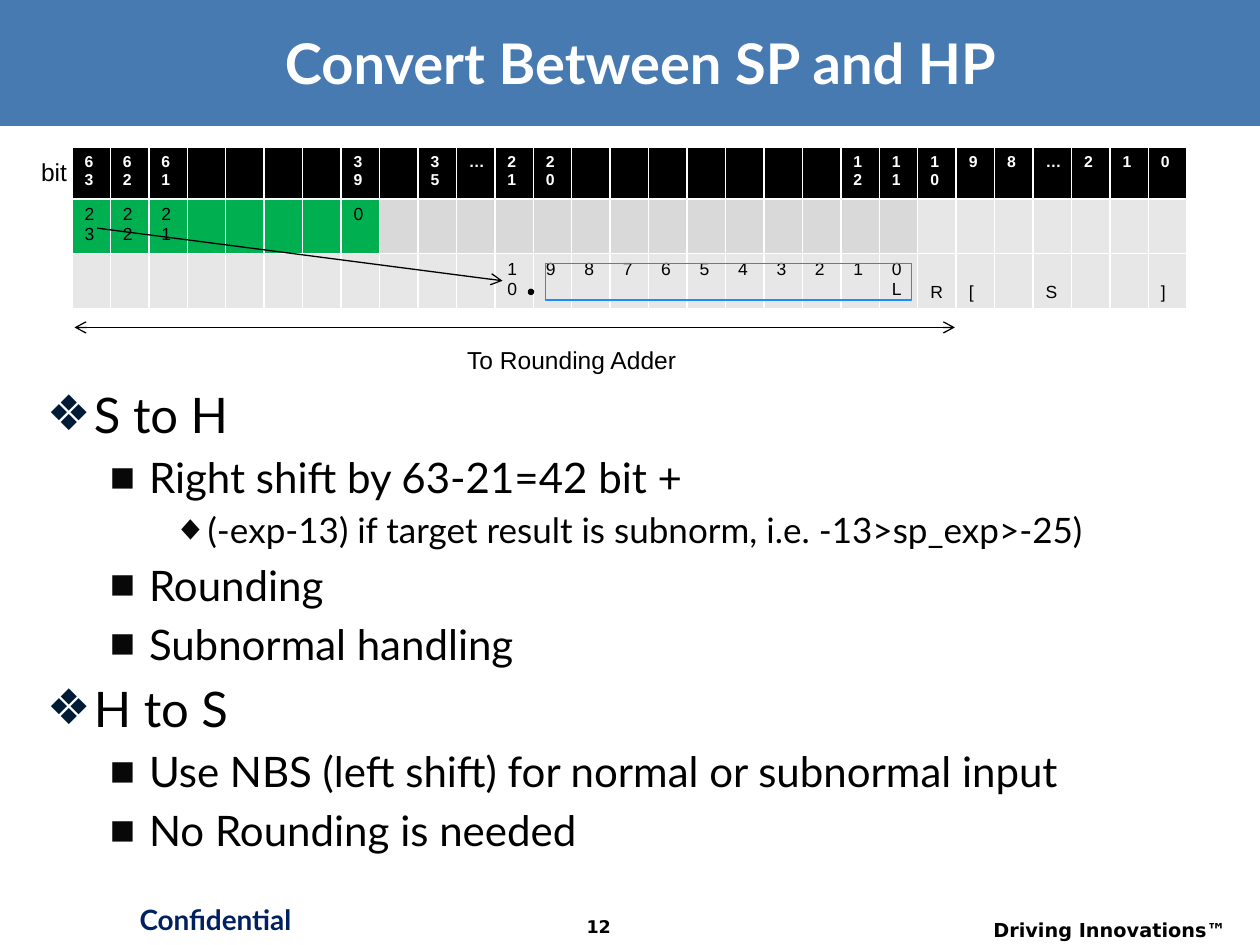
from lxml import etree
from pptx import Presentation
from pptx import util as u
from pptx.dml.color import RGBColor
from pptx.enum import shapes, text
from pptx.oxml.ns import qn

COLOURS = {
    "band": "477AB1", "white": "FFFFFF", "black": "000000", "navy": "002060",
    "diamond": "001B36", "bullet": "080808", "frame": "1B8DFF",
    "green": "00B050", "grey": "D9D9D9", "pale": "E7E7E7",
}
COLUMNS = 29
HEADER = {0: "63", 1: "62", 2: "61", 7: "39", 9: "35", 10: "…", 11: "21", 12: "20",
          20: "12", 21: "11", 22: "10", 23: "9", 24: "8", 25: "…", 26: "2", 27: "1", 28: "0"}
SINGLE = {0: "23", 1: "22", 2: "21", 7: "0"}
HALF = {11 + step: str(10 - step) for step in range(10)} | {21: "0 L"}
ROUND_BITS = {22: "R", 23: "[", 25: "S", 28: "]"}

# level: size, bullet, bullet colour, left margin and hanging indent in cm
LEVELS = [
    (28, "❖", "diamond", 0.95, 0.95),
    (24, "■", "bullet", 2.06, 0.79),
    (20, "◆", "bullet", 3.18, 0.64),
]
OUTLINE = [
    (0, "S to H"),
    (1, "Right shift by 63-21=42 bit +"),
    (2, "(-exp-13) if target result is subnorm, i.e. -13>sp_exp>-25)"),
    (1, "Rounding"),
    (1, "Subnormal handling"),
    (0, "H to S"),
    (1, "Use NBS (left shift) for normal or subnormal input"),
    (1, "No Rounding is needed"),
]


def rgb(name):
    return RGBColor.from_string(COLOURS[name])


def place(item, left, top, width, height):
    item.left, item.top, item.width, item.height = map(u.Cm, (left, top, width, height))


def write(para, words, size=14, font="Arial", colour="black", bold=False, align=None):
    span = para.add_run()
    span.text = words
    span.font.size = u.Pt(size)
    span.font.name = font
    span.font.bold = bold
    span.font.color.rgb = rgb(colour)
    para.alignment = align
    return span


def add_label(page, area, words, **style):
    box = page.shapes.add_textbox(*map(u.Cm, area))
    box.text_frame.word_wrap = True
    write(box.text_frame.paragraphs[0], words, **style)


def add_block(page, kind, area, fill=None, line=None):
    block = page.shapes.add_shape(kind, *map(u.Cm, area))
    block.shadow.inherit = False
    if fill:
        block.fill.solid()
        block.fill.fore_color.rgb = rgb(fill)
    else:
        block.fill.background()
    if line:
        block.line.color.rgb = rgb(line)
        block.line.width = u.Pt(0.75)
    else:
        block.line.fill.background()
    return block


def add_arrow(page, start, end, tips=("tailEnd",)):
    arrow = page.shapes.add_connector(
        shapes.MSO_CONNECTOR.STRAIGHT, *map(u.Cm, (*start, *end)))
    arrow.line.color.rgb = rgb("black")
    arrow.line.width = u.Pt(0.75)
    props = arrow.element.spPr
    outline = props.find(qn("a:ln"))
    for tip in tips:
        etree.SubElement(outline, qn("a:" + tip), type="arrow")
    etree.SubElement(props, qn("a:effectLst"))


def fill_title(title):
    place(title, 0.89, 0.41, 24.05, 1.68)
    frame = title.text_frame
    frame.auto_size = text.MSO_AUTO_SIZE.NONE
    frame.vertical_anchor = text.MSO_ANCHOR.MIDDLE
    span = write(frame.paragraphs[0], "Convert Between SP and HP", size=32, font="Lato",
                 colour="white", bold=True, align=text.PP_ALIGN.CENTER)
    effects = etree.Element(qn("a:effectLst"))
    shadow = etree.SubElement(effects, qn("a:outerShdw"), dist="38100", dir="2700000")
    etree.SubElement(shadow, qn("a:srgbClr"), val=COLOURS["black"])
    span.font._element.find(qn("a:solidFill")).addnext(effects)


def set_bullet(para, char, colour, margin, hanging):
    props = para._p.get_or_add_pPr()
    props.set("marL", str(u.Cm(margin)))
    props.set("indent", str(-u.Cm(hanging)))
    tint = etree.SubElement(props, qn("a:buClr"))
    etree.SubElement(tint, qn("a:srgbClr"), val=COLOURS[colour])
    etree.SubElement(props, qn("a:buChar"), char=char)


def fill_outline(body):
    place(body, 0.69, 7.62, 23.98, 10.36)
    frame = body.text_frame
    frame.auto_size = text.MSO_AUTO_SIZE.NONE
    for index, (level, words) in enumerate(OUTLINE):
        para = frame.add_paragraph() if index else frame.paragraphs[0]
        size, *bullet = LEVELS[level]
        para.level = level
        para.space_before = u.Pt(0.2 * size if index else 0)
        write(para, words, size=size, font="Lato")
        set_bullet(para, *bullet)


def cell_fill(row, column):
    if row == 0:
        return "black"
    if row == 2 or column > 21:
        return "pale"
    return "green" if column < 8 else "grey"


def add_bit_table(page):
    table = page.shapes.add_table(3, COLUMNS, *map(u.Cm, (1.45, 2.97, 22.5, 3.12))).table
    for column in table.columns:
        column.width = int(u.Cm(22.5) / COLUMNS)
    for row, labels in enumerate((HEADER, SINGLE, HALF | ROUND_BITS)):
        table.rows[row].height = u.Cm(1.04)
        for column in range(COLUMNS):
            cell = table.cell(row, column)
            cell.fill.solid()
            cell.fill.fore_color.rgb = rgb(cell_fill(row, column))
            if column in labels:
                style = {"size": 10} if row else {"size": 9, "colour": "white", "bold": True}
                write(cell.text_frame.paragraphs[0], labels[column], **style)
            if row == 2 and column in ROUND_BITS:
                cell.vertical_anchor = text.MSO_ANCHOR.BOTTOM


def add_footer(page):
    small = {"font": "DejaVu Sans", "bold": True}
    add_label(page, (2.26, 18.06, 4.17, 1.07), "Confidential", size=16, font="Lato",
              colour="navy", bold=True, align=text.PP_ALIGN.CENTER)
    add_label(page, (18.95, 18.39, 6.02, 0.66), "Driving Innovations™", size=11,
              align=text.PP_ALIGN.RIGHT, **small)
    add_label(page, (10.9, 18.34, 2.34, 0.71), "12", size=10,
              align=text.PP_ALIGN.CENTER, **small)


def main():
    deck = Presentation()
    deck.slide_width, deck.slide_height = u.Cm(25.4), u.Cm(19.05)
    page = deck.slides.add_slide(deck.slide_layouts[1])
    kinds = shapes.MSO_SHAPE

    band = add_block(page, kinds.RECTANGLE, (0, 0, 25.4, 2.54), fill="band")
    page.shapes.title.element.addprevious(band.element)
    fill_title(page.shapes.title)
    fill_outline(page.placeholders[1])
    add_footer(page)

    add_bit_table(page)
    add_block(page, kinds.FLOWCHART_CONNECTOR, (10.64, 5.82, 0.13, 0.13), fill="black")
    add_block(page, kinds.RECTANGLE, (11, 5.31, 7.37, 0.74), line="frame")
    add_arrow(page, (1.96, 4.6), (10.13, 5.66))
    add_label(page, (0.58, 3.05, 1.12, 0.86), "bit")
    add_arrow(page, (19.25, 6.6), (1.5, 6.6), tips=("headEnd", "tailEnd"))
    add_label(page, (9.17, 6.83, 4.9, 0.86), "To Rounding Adder")

    deck.save("out.pptx")


if __name__ == "__main__":
    main()
